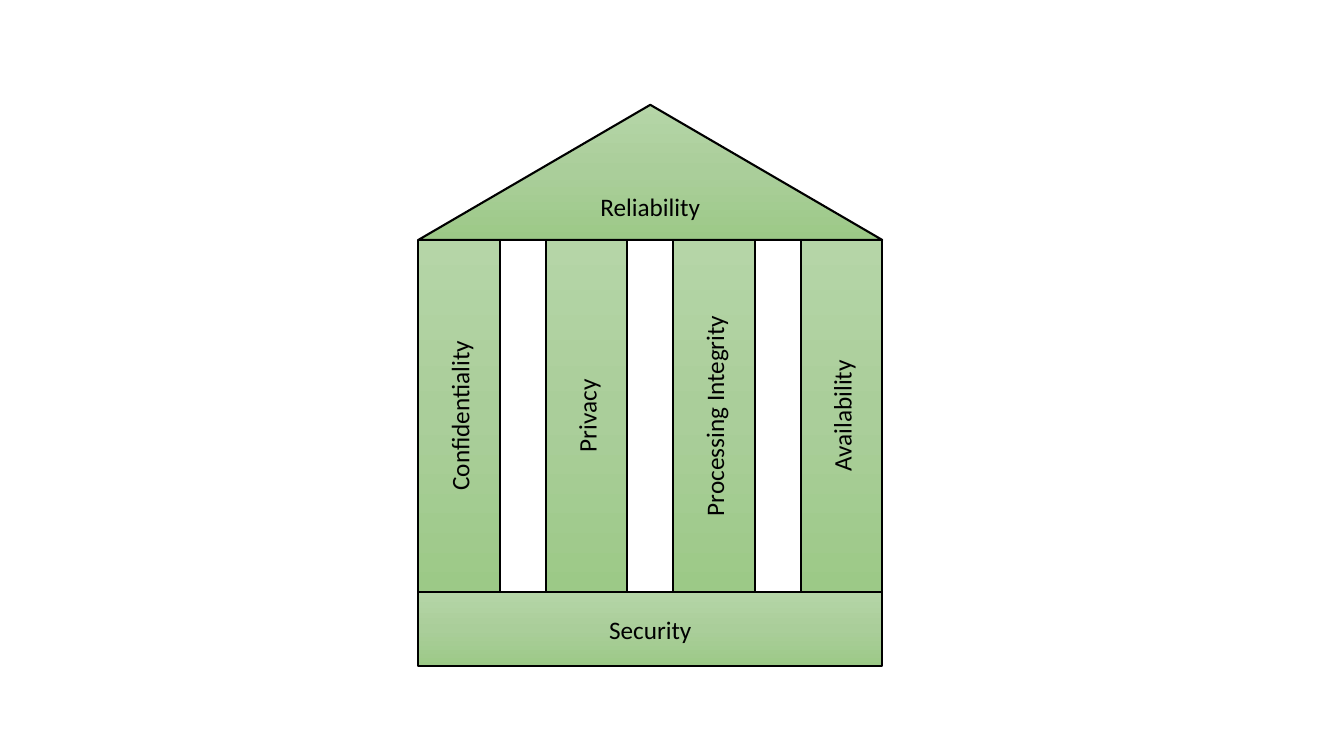
from copy import deepcopy

from pptx import Presentation
from pptx.dml.color import RGBColor
from pptx.enum.shapes import MSO_SHAPE as Shape
from pptx.enum.text import MSO_ANCHOR as Anchor, PP_ALIGN as Align
from pptx.oxml.ns import qn
from pptx.util import Inches, Pt

BLACK = RGBColor(0x00, 0x00, 0x00)
GRADIENT = [
    (0, RGBColor(0xB5, 0xD5, 0xA7)),
    (0.5, RGBColor(0xAA, 0xCE, 0x9A)),
    (1, RGBColor(0x9C, 0xC9, 0x87)),
]

LEFT, WIDTH = 4.15, 4.6
ROOF_TOP, ROOF_HEIGHT = 1.04, 1.34
PILLAR_TOP, PILLAR_WIDTH, PILLAR_HEIGHT = 2.38, 0.81, 3.49
BASE_TOP, BASE_HEIGHT = 5.87, 0.74
PILLARS = ["Confidentiality", "Privacy", "Processing Integrity", "Availability"]


def fill_gradient(shape):
    """Fill a shape with the green gradient, running from top to bottom."""
    shape.fill.gradient()
    shape.fill.gradient_angle = 270
    stop_list = shape.element.spPr.find(qn("a:gradFill")).find(qn("a:gsLst"))
    stop_list.insert(1, deepcopy(stop_list[0]))
    for stop, (position, color) in zip(shape.fill.gradient_stops, GRADIENT):
        stop.position = position
        stop.color.rgb = color


def write_text(shape, text, size=18, font="Calibri", color=BLACK, upward=False):
    """Centre a label in a shape, optionally reading upward."""
    frame = shape.text_frame
    frame.word_wrap = True
    frame.vertical_anchor = Anchor.MIDDLE
    if upward:
        shape.element.txBody.find(qn("a:bodyPr")).set("vert", "vert270")
    para = frame.paragraphs[0]
    para.alignment = Align.CENTER
    span = para.add_run()
    span.text = text
    span.font.size = Pt(size)
    span.font.name = font
    span.font.color.rgb = color


def add_block(temple, kind, left, top, width, height, text, **text_format):
    """Add one labelled part of the temple."""
    block = temple.shapes.add_shape(
        kind, Inches(left), Inches(top), Inches(width), Inches(height)
    )
    block.shadow.inherit = False
    fill_gradient(block)
    block.line.color.rgb = BLACK
    block.line.width = Pt(1.5)
    write_text(block, text, **text_format)


def main():
    """Build the temple slide and save the deck."""
    deck = Presentation()
    deck.slide_width, deck.slide_height = Inches(13.33), Inches(7.5)
    page = deck.slides.add_slide(deck.slide_layouts[6])
    temple = page.shapes.add_group_shape()

    add_block(temple, Shape.ISOSCELES_TRIANGLE, LEFT, ROOF_TOP, WIDTH, ROOF_HEIGHT,
              "Reliability")
    pitch = (WIDTH - PILLAR_WIDTH) / (len(PILLARS) - 1)
    for index, name in enumerate(PILLARS):
        add_block(temple, Shape.RECTANGLE, LEFT + index * pitch, PILLAR_TOP,
                  PILLAR_WIDTH, PILLAR_HEIGHT, name, upward=True)
    add_block(temple, Shape.RECTANGLE, LEFT, BASE_TOP, WIDTH, BASE_HEIGHT, "Security")

    deck.save("out.pptx")


if __name__ == "__main__":
    main()
